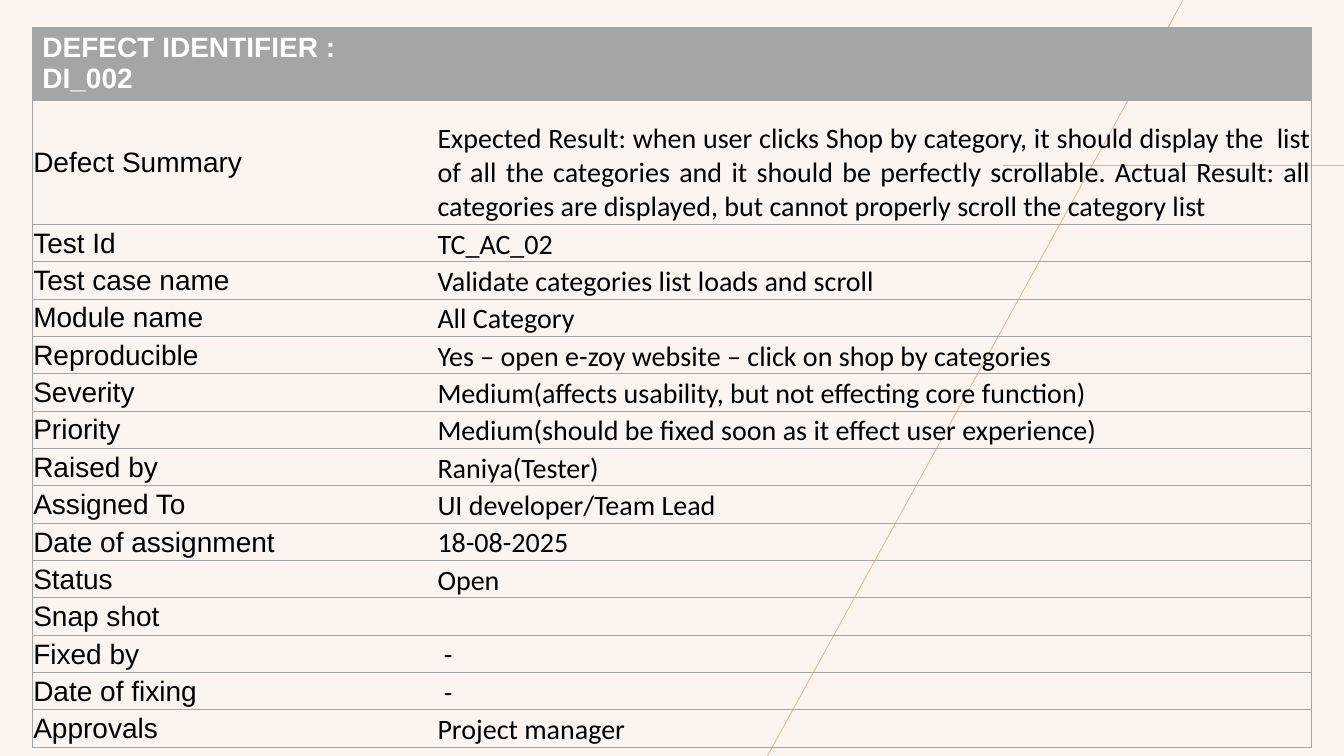
from dataclasses import dataclass
from lxml.etree import SubElement
from pptx import Presentation
from pptx.dml.color import RGBColor
from pptx.enum.shapes import MSO_CONNECTOR
from pptx.enum.text import MSO_ANCHOR, PP_ALIGN
from pptx.oxml import parse_xml
from pptx.oxml.ns import nsdecls, qn
from pptx.util import Inches, Pt


@dataclass(frozen=True)
class Theme:
    back: str = "FBF4EF"
    accent: str = "E2B18D"
    grey: str = "A5A5A5"
    light: str = "FFFFFF"
    dark: str = "000000"
    label: str = "Arial"
    body: str = "Calibri"
    size: int = 20
    line: float = 0.5


PLAIN = "{2D5ABB26-0587-4C30-8999-92F81FD0307C}"  # table style without fills or grid
HEAD = "DEFECT IDENTIFIER : DI_002"
FIELDS = [
    ("Defect Summary", "Expected Result: when user clicks Shop by category, it should "
     "display the  list of all the categories and it should be perfectly scrollable. "
     "Actual Result: all categories are displayed, but cannot properly scroll the "
     "category list"),
    ("Test Id", "TC_AC_02"),
    ("Test case name", "Validate categories list loads and scroll"),
    ("Module name", "All Category"),
    ("Reproducible", "Yes – open e-zoy website – click on shop by categories"),
    ("Severity", "Medium(affects usability, but not effecting core function)"),
    ("Priority", "Medium(should be fixed soon as it effect user experience)"),
    ("Raised by", "Raniya(Tester)"),
    ("Assigned To", "UI developer/Team Lead"),
    ("Date of assignment", "18-08-2025"),
    ("Status", "Open"),
    ("Snap shot", ""),
    ("Fixed by", " - "),
    ("Date of fixing", " - "),
    ("Approvals", "Project manager"),
]


class Deck:
    """Draws on one slide; all lengths are percentages of its width or height."""

    def __init__(self, theme):
        self.theme = theme
        self.show = Presentation()
        self.show.slide_width, self.show.slide_height = Inches(13.33), Inches(7.5)
        self.slide = self.show.slides.add_slide(self.show.slide_layouts[6])
        fill = self.slide.background.fill
        fill.solid()
        fill.fore_color.rgb = RGBColor.from_string(theme.back)

    def across(self, share):
        return round(self.show.slide_width * share / 100)

    def down(self, share):
        return round(self.show.slide_height * share / 100)

    def line(self, x1, y1, x2, y2):
        line = self.slide.shapes.add_connector(
            MSO_CONNECTOR.STRAIGHT, self.across(x1), self.down(y1),
            self.across(x2), self.down(y2))
        line.line.color.rgb = RGBColor.from_string(self.theme.accent)
        line.line.width = Pt(self.theme.line)
        SubElement(line._element.spPr, qn("a:effectLst"))

    def table(self, x, y, cols, rows):
        frame = self.slide.shapes.add_table(
            len(rows), len(cols), self.across(x), self.down(y),
            self.across(sum(cols)), self.down(sum(rows)))
        table = frame.table
        table.horz_banding = False
        table._tbl.tblPr.find(qn("a:tableStyleId")).text = PLAIN
        for col, share in zip(table.columns, cols):
            col.width = self.across(share)
        for row, share in zip(table.rows, rows):
            row.height = self.down(share)
        return table

    def text(self, cell, words, font, color, bold=False):
        cell.text = words
        para = cell.text_frame.paragraphs[0]
        para.font.name = font
        para.font.size = Pt(self.theme.size)
        para.font.bold = bold
        para.font.color.rgb = RGBColor.from_string(color)
        return para

    def head(self, cell, words):
        self.text(cell, words, self.theme.label, self.theme.light, True)
        cell.fill.solid()
        cell.fill.fore_color.rgb = RGBColor.from_string(self.theme.grey)

    def field(self, cell, words, font, anchor):
        para = self.text(cell, words, font, self.theme.dark)
        para.alignment = PP_ALIGN.JUSTIFY
        cell.vertical_anchor = anchor
        cell.margin_left = cell.margin_right = cell.margin_top = Inches(0.01)
        cell.margin_bottom = 0
        cell.fill.background()

    def border(self, cell, sides):
        """Rule the given sides, listed in the order L, R, T, B."""
        props = cell._tc.get_or_add_tcPr()
        for place, side in enumerate(sides):
            props.insert(place, parse_xml(
                f'<a:ln{side} {nsdecls("a")} w="{Pt(self.theme.line)}"><a:solidFill>'
                f'<a:srgbClr val="{self.theme.grey}"/></a:solidFill></a:ln{side}>'))


def main():
    theme = Theme()
    deck = Deck(theme)
    deck.line(74.64, 21.87, 100, 21.87)
    deck.line(88.03, 0, 57.1, 100)

    rows = [9.73, 16.35] + [4.94] * (len(FIELDS) - 1)
    table = deck.table(2.4, 3.6, [30.08, 65.12], rows)
    for col, words in enumerate((HEAD, "")):
        deck.head(table.cell(0, col), words)
    for row, (label, value) in enumerate(FIELDS, 1):
        deck.field(table.cell(row, 0), label, theme.label, MSO_ANCHOR.MIDDLE)
        deck.field(table.cell(row, 1), value, theme.body, MSO_ANCHOR.BOTTOM)
    for row in table.rows:
        for cell, side in zip(row.cells, "LR"):
            deck.border(cell, side + "TB")
    deck.show.save("out.pptx")


if __name__ == "__main__":
    main()
